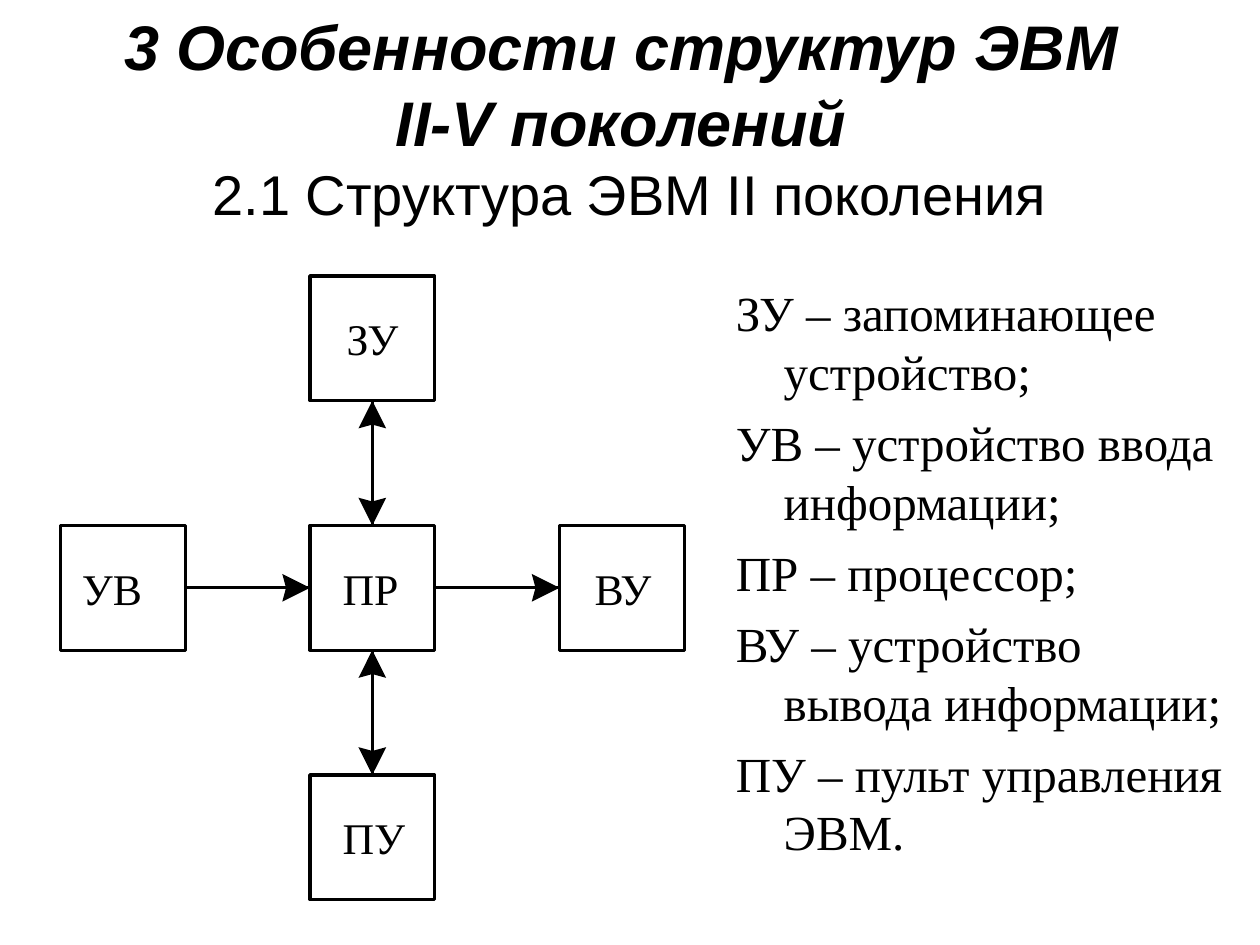
from lxml import etree
from pptx import Presentation
from pptx import util as u
from pptx.dml.color import RGBColor
from pptx.enum import shapes, text
from pptx.oxml.ns import qn

BLACK = RGBColor(0, 0, 0)
WHITE = RGBColor(255, 255, 255)
SANS = "Arial"
SERIF = "Times New Roman"
TOP, LEFT, BOTTOM, RIGHT = range(4)

SIDE = 0.99
STEP = 1.98
CENTRE_LEFT, CENTRE_TOP = 2.46, 4.17
LINE_WIDTH = u.Pt(1.87)

# name: (column, row, label indent)
UNITS = {
    "ЗУ": (0, -1, 0.29),
    "УВ": (-1, 0, 0.17),
    "ПР": (0, 0, 0.26),
    "ВУ": (1, 0, 0.28),
    "ПУ": (0, 1, 0.26),
}
LINKS = [
    ("УВ", RIGHT, "ПР", LEFT, False),
    ("ПР", RIGHT, "ВУ", LEFT, False),
    ("ЗУ", BOTTOM, "ПР", TOP, True),
    ("ПР", BOTTOM, "ПУ", TOP, True),
]
LEGEND = [
    "ЗУ – запоминающее устройство;",
    "УВ – устройство ввода информации;",
    "ПР – процессор;",
    "ВУ – устройство вывода информации;",
    "ПУ – пульт управления ЭВМ.",
]


def place(shape, left, top, width, height):
    shape.left, shape.top = u.Inches(left), u.Inches(top)
    shape.width, shape.height = u.Inches(width), u.Inches(height)


def add_run(paragraph, words, font_name, size, bold=False, italic=False):
    run = paragraph.add_run()
    run.text = words
    run.font.name, run.font.size = font_name, u.Pt(size)
    run.font.bold, run.font.italic = bold, italic
    run.font.color.rgb = BLACK


def fill_title(title):
    place(title, 0.5, 0.08, 9, 1.7)
    frame = title.text_frame
    frame.word_wrap = True
    frame.auto_size = text.MSO_AUTO_SIZE.NONE
    frame.vertical_anchor = text.MSO_ANCHOR.MIDDLE
    paragraph = frame.paragraphs[0]
    paragraph.alignment = text.PP_ALIGN.CENTER
    for line in ("3 Особенности структур ЭВМ ", "II-V поколений "):
        add_run(paragraph, line, SANS, 36, bold=True, italic=True)
        paragraph.add_line_break()
    add_run(paragraph, "2.1 Структура ЭВМ II поколения", SANS, 32)


def fill_legend(body):
    place(body, 5.74, 2.15, 4.13, 4.95)
    frame = body.text_frame
    frame.word_wrap = True
    frame.auto_size = text.MSO_AUTO_SIZE.NONE
    frame.margin_top = u.Inches(0.09)
    for index, entry in enumerate(LEGEND):
        paragraph = frame.add_paragraph() if index else frame.paragraphs[0]
        properties = paragraph._p.get_or_add_pPr()
        properties.set("marL", str(u.Inches(0.38)))
        properties.set("indent", str(-u.Inches(0.38)))
        etree.SubElement(properties, qn("a:buNone"))
        paragraph.space_before = u.Pt(7 if index else 0)
        add_run(paragraph, entry, SERIF, 28)


def add_unit(slide, name, column, row, indent):
    box = slide.shapes.add_shape(
        shapes.MSO_SHAPE.RECTANGLE,
        u.Inches(CENTRE_LEFT + column * STEP), u.Inches(CENTRE_TOP + row * STEP),
        u.Inches(SIDE), u.Inches(SIDE))
    box.shadow.inherit = False
    box.fill.solid()
    box.fill.fore_color.rgb = WHITE
    box.line.color.rgb = BLACK
    box.line.width = LINE_WIDTH
    frame = box.text_frame
    frame.word_wrap = False
    frame.margin_left = u.Inches(indent)
    frame.margin_top = frame.margin_right = frame.margin_bottom = 0
    frame.vertical_anchor = text.MSO_ANCHOR.MIDDLE
    paragraph = frame.paragraphs[0]
    paragraph.alignment = text.PP_ALIGN.LEFT
    add_run(paragraph, name, SERIF, 25)
    return box


def add_head(slide, tip_x, tip_y, across, down):
    length, notch, half = u.Inches(0.22), u.Inches(0.19), u.Inches(0.11)
    corners = [
        (tip_x - across * back - down * side, tip_y - down * back + across * side)
        for back, side in ((length, half), (notch, 0), (length, -half))]
    builder = slide.shapes.build_freeform(tip_x, tip_y)
    builder.add_line_segments(corners, close=True)
    head = builder.convert_to_shape()
    head.shadow.inherit = False
    head.fill.solid()
    head.fill.fore_color.rgb = BLACK
    head.line.fill.background()


def add_link(slide, source, source_side, target, target_side, both_ways):
    link = slide.shapes.add_connector(shapes.MSO_CONNECTOR.STRAIGHT, 0, 0, 0, 0)
    link.begin_connect(source, source_side)
    link.end_connect(target, target_side)
    link.line.color.rgb = BLACK
    link.line.width = LINE_WIDTH
    etree.SubElement(link._element.spPr, qn("a:effectLst"))
    across, down = (1, 0) if source_side == RIGHT else (0, 1)
    add_head(slide, link.end_x, link.end_y, across, down)
    if both_ways:
        add_head(slide, link.begin_x, link.begin_y, -across, -down)


def main():
    presentation = Presentation()
    presentation.slide_width, presentation.slide_height = u.Inches(10), u.Inches(7.5)
    slide = presentation.slides.add_slide(presentation.slide_layouts[1])
    fill_title(slide.shapes.title)
    fill_legend(slide.placeholders[1])
    boxes = {name: add_unit(slide, name, *spot) for name, spot in UNITS.items()}
    for source, source_side, target, target_side, both_ways in LINKS:
        add_link(slide, boxes[source], source_side, boxes[target], target_side, both_ways)
    presentation.save("out.pptx")


if __name__ == "__main__":
    """Build the slide on the structure of second-generation computers."""
    main()
